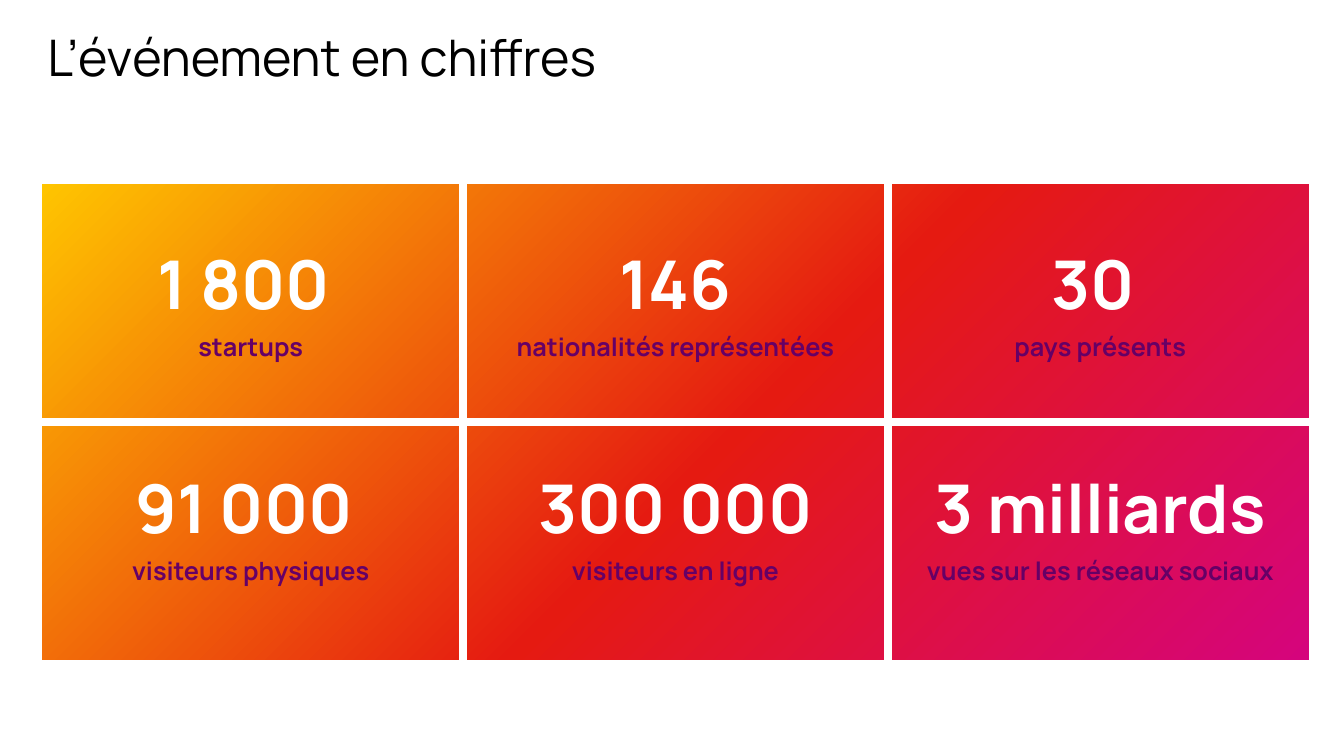
from lxml.etree import SubElement
from pptx import Presentation
from pptx.dml.color import RGBColor
from pptx.enum.shapes import MSO_SHAPE
from pptx.enum.text import MSO_ANCHOR, MSO_AUTO_SIZE, PP_ALIGN
from pptx.oxml import parse_xml
from pptx.oxml.ns import nsdecls, qn
from pptx.util import Inches, Pt

BLACK = RGBColor(0x00, 0x00, 0x00)
WHITE = RGBColor(0xFF, 0xFF, 0xFF)
PURPLE = RGBColor(0x66, 0x00, 0x66)
YELLOW = RGBColor(0xFF, 0xC6, 0x00)
RED = RGBColor(0xE5, 0x1A, 0x11)
MAGENTA = RGBColor(0xD5, 0x04, 0x7E)

# Position, size and bottom margins in inches
PANEL = [Inches(value) for value in (0.38, 1.79, 12.64, 4.79)]
BOTTOM_MARGINS = (0.05, 0.39)
FIGURES = [
    [("1 800 ", "startups"), ("146", "nationalités représentées"),
     ("30 ", "pays présents")],
    [("91 000 ", "visiteurs physiques"), ("300 000", "visiteurs en ligne"),
     ("3 milliards", "vues sur les réseaux sociaux")],
]


class FiguresSlide:
    font_name = "Manrope"

    def __init__(self, presentation):
        self.slide = presentation.slides.add_slide(presentation.slide_layouts[5])

    def style(self, paragraph, size, color, bold=False, align=PP_ALIGN.CENTER):
        paragraph.alignment = align
        font = paragraph.font
        font.name, font.size, font.bold = self.font_name, Pt(size), bold
        font.color.rgb = color

    def title(self, text):
        title = self.slide.shapes.title
        title.left, title.top = Inches(0.37), Inches(0.2)
        title.width, title.height = Inches(12.6), Inches(0.79)
        frame = title.text_frame
        frame.text = text
        frame.auto_size = MSO_AUTO_SIZE.NONE
        frame.vertical_anchor = MSO_ANCHOR.MIDDLE
        paragraph = frame.paragraphs[0]
        paragraph.line_spacing = 0.9
        self.style(paragraph, 36, BLACK, align=PP_ALIGN.LEFT)

    def gradient_panel(self, box, stops):
        shape = self.slide.shapes.add_shape(MSO_SHAPE.RECTANGLE, *box)
        shape.shadow.inherit = False
        shape.line.fill.background()
        stop_list = "".join(
            f'<a:gs pos="{share * 1000}"><a:srgbClr val="{color}"/></a:gs>'
            for share, color in stops)
        gradient = parse_xml(
            f'<a:gradFill {nsdecls("a")} rotWithShape="1">'
            f'<a:gsLst>{stop_list}</a:gsLst><a:path path="circle">'
            '<a:fillToRect r="100000" b="100000"/></a:path></a:gradFill>')
        shape.element.spPr.find(qn("a:prstGeom")).addnext(gradient)

    def cell_borders(self, cell, color, width):
        properties = cell._tc.get_or_add_tcPr()
        for side in ("a:lnL", "a:lnR", "a:lnT", "a:lnB"):
            line = SubElement(properties, qn(side), w=str(Pt(width)))
            fill = SubElement(line, qn("a:solidFill"))
            SubElement(fill, qn("a:srgbClr"), val=str(color))

    def figure_cell(self, cell, number, label, bottom_margin):
        self.cell_borders(cell, WHITE, 6)
        cell.fill.background()
        cell.vertical_anchor = MSO_ANCHOR.MIDDLE
        cell.margin_bottom = Inches(bottom_margin)
        frame = cell.text_frame
        frame.text = f"{number}\n{label}"
        for paragraph, size, color in zip(frame.paragraphs, (48, 18), (WHITE, PURPLE)):
            self.style(paragraph, size, color, bold=True)

    def figures_table(self, box, figures):
        row_count, column_count = len(figures), len(figures[0])
        table = self.slide.shapes.add_table(row_count, column_count, *box).table
        table.first_row = table.horz_banding = False
        for row, entries in enumerate(figures):
            for column, (number, label) in enumerate(entries):
                self.figure_cell(table.cell(row, column), number, label,
                                 BOTTOM_MARGINS[row])


def main():
    presentation = Presentation()
    presentation.slide_width = Inches(13.33)
    presentation.slide_height = Inches(7.5)
    page = FiguresSlide(presentation)

    # Title
    page.title("L’événement en chiffres")

    # Gradient seen through the table
    page.gradient_panel(PANEL, [(0, YELLOW), (54, RED), (100, MAGENTA)])

    # Key figures
    page.figures_table(PANEL, FIGURES)

    presentation.save("out.pptx")


if __name__ == "__main__":
    main()
